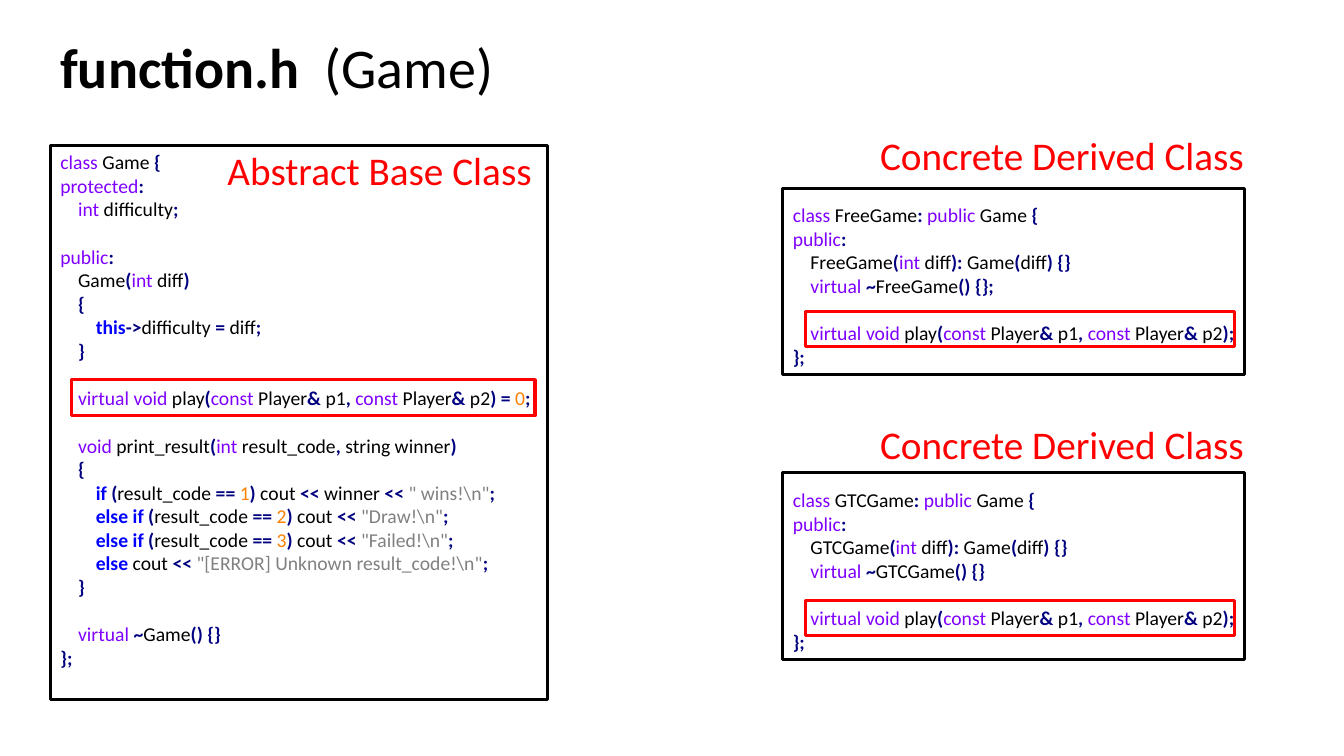
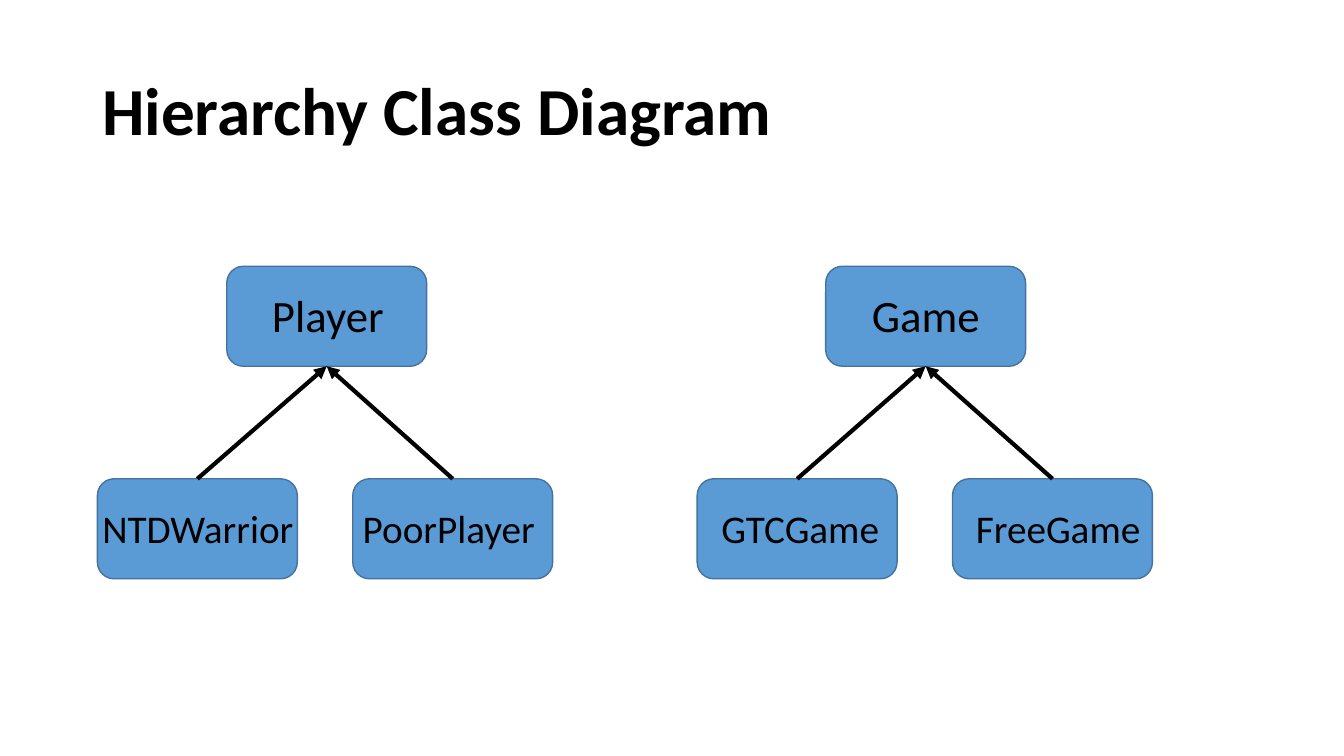
import itertools
from dataclasses import dataclass

import pptx
import pptx.dml.color
import pptx.enum.shapes
import pptx.enum.text
import pptx.oxml.ns
import pptx.util
from lxml import etree

RGBColor = pptx.dml.color.RGBColor
MSO_SHAPE = pptx.enum.shapes.MSO_SHAPE

# Shared style
BLACK = RGBColor(0x00, 0x00, 0x00)
RED = RGBColor(0xFF, 0x00, 0x00)
BOX_BLUE = RGBColor(0x5B, 0x9B, 0xD5)
BOX_EDGE = RGBColor(0x43, 0x73, 0x9E)
TYPE_PURPLE = RGBColor(0x80, 0x00, 0xFF)
FLOW_BLUE = RGBColor(0x00, 0x00, 0xFF)
OPERATOR_NAVY = RGBColor(0x00, 0x00, 0x80)
NUMBER_ORANGE = RGBColor(0xFF, 0x80, 0x00)
STRING_GRAY = RGBColor(0x80, 0x80, 0x80)
FONT = "Calibri"
CODE_SIZE = 14
CODE_LINE = 17
CODE_INDENT = pptx.util.Pt(12.66)
CAPTION_SIZE = 28

# Grid of 160 columns by 90 rows
SLIDE_WIDTH = pptx.util.Inches(13.33)
SLIDE_HEIGHT = pptx.util.Inches(7.5)
COLUMN = SLIDE_WIDTH / 160
ROW = SLIDE_HEIGHT / 90

TYPE_WORDS = {"class", "protected", "public", "int", "virtual", "void", "const"}
FLOW_WORDS = {"this", "if", "else"}


@dataclass(frozen=True)
class Area:
    """A rectangle in grid columns and rows."""
    left: float
    top: float
    width: float
    height: float

    def lengths(self) -> tuple[int, int, int, int]:
        return (round(self.left * COLUMN), round(self.top * ROW),
                round(self.width * COLUMN), round(self.height * ROW))


@dataclass(frozen=True)
class TextRun:
    text: str
    color: RGBColor = BLACK
    bold: bool = False


@dataclass(frozen=True)
class CodePanel:
    code: str
    text: Area
    frame: Area
    highlight: Area
    caption: str
    caption_area: Area


@dataclass(frozen=True)
class ClassBox:
    name: str
    left: float
    label_shift: float


@dataclass(frozen=True)
class Family:
    parent: ClassBox
    children: tuple[ClassBox, ...]


# Drawing helpers
def add_runs(paragraph, runs: list[TextRun], size: float) -> None:
    for item in runs:
        run = paragraph.add_run()
        run.text = item.text
        run.font.name = FONT
        run.font.size = pptx.util.Pt(size)
        run.font.bold = item.bold
        run.font.color.rgb = item.color


def add_text_frame(slide, area: Area):
    text_frame = slide.shapes.add_textbox(*area.lengths()).text_frame
    text_frame.word_wrap = True
    return text_frame


def add_label(slide, area: Area, text: str, size: float, color: RGBColor = BLACK) -> None:
    add_runs(add_text_frame(slide, area).paragraphs[0], [TextRun(text, color)], size)


def add_title(slide, area: Area, runs: list[TextRun], size: float) -> None:
    text_frame = add_text_frame(slide, area)
    text_frame.vertical_anchor = pptx.enum.text.MSO_ANCHOR.MIDDLE
    text_frame.paragraphs[0].line_spacing = 0.9
    add_runs(text_frame.paragraphs[0], runs, size)


def add_box(slide, area: Area, line: RGBColor, line_width: float,
            fill: RGBColor | None = None, kind=MSO_SHAPE.RECTANGLE) -> None:
    shape = slide.shapes.add_shape(kind, *area.lengths())
    shape.shadow.inherit = False
    shape.line.color.rgb = line
    shape.line.width = pptx.util.Pt(line_width)
    if fill is None:
        shape.fill.background()
    else:
        shape.fill.solid()
        shape.fill.fore_color.rgb = fill


def add_arrow(slide, start: tuple[float, float], end: tuple[float, float]) -> None:
    connector = slide.shapes.add_connector(
        pptx.enum.shapes.MSO_CONNECTOR.STRAIGHT,
        round(start[0] * COLUMN), round(start[1] * ROW),
        round(end[0] * COLUMN), round(end[1] * ROW))
    connector.line.color.rgb = BLACK
    connector.line.width = pptx.util.Pt(3)
    qn = pptx.oxml.ns.qn
    properties = connector._element.spPr
    etree.SubElement(properties.find(qn("a:ln")), qn("a:tailEnd"), type="triangle")
    etree.SubElement(properties, qn("a:effectLst"))


# Syntax colouring
def token_kind(character: str) -> str:
    if character.isspace():
        return "space"
    return "word" if character.isalnum() or character == "_" else "operator"


def color_token(kind: str, text: str) -> TextRun:
    if kind == "operator":
        return TextRun(text, OPERATOR_NAVY, True)
    if text in FLOW_WORDS:
        return TextRun(text, FLOW_BLUE, True)
    if text in TYPE_WORDS:
        return TextRun(text, TYPE_PURPLE)
    return TextRun(text, NUMBER_ORANGE if text.isdigit() else BLACK)


def color_code(line: str) -> list[TextRun]:
    runs = []
    for index, part in enumerate(line.split('"')):
        if index % 2:
            runs.append(TextRun(f'"{part}"', STRING_GRAY))
            continue
        for kind, characters in itertools.groupby(part, token_kind):
            runs.append(color_token(kind, "".join(characters)))
    return runs


def add_code(slide, area: Area, code: str) -> None:
    text_frame = add_text_frame(slide, area)
    paragraph = text_frame.paragraphs[0]
    gap = 0
    for line in code.strip().splitlines():
        content = line.strip()
        if not content:
            gap += CODE_LINE
            continue
        if paragraph.runs:
            paragraph = text_frame.add_paragraph()
        level = (len(line) - len(content)) // 4
        paragraph._p.get_or_add_pPr().set("marL", str(level * CODE_INDENT))
        paragraph.space_before = pptx.util.Pt(gap)
        add_runs(paragraph, color_code(content), CODE_SIZE)
        gap = 0


# Slide contents
BASE_CODE = r"""
class Game {
protected:
    int difficulty;

public:
    Game(int diff)
    {
        this->difficulty = diff;
    }

    virtual void play(const Player& p1, const Player& p2) = 0;

    void print_result(int result_code, string winner)
    {
        if (result_code == 1) cout << winner << " wins!\n";
        else if (result_code == 2) cout << "Draw!\n";
        else if (result_code == 3) cout << "Failed!\n";
        else cout << "[ERROR] Unknown result_code!\n";
    }

    virtual ~Game() {}
};
"""

DERIVED_CODE = """
class NAME: public Game {
public:
    NAME(int diff): Game(diff) {}
    virtual ~NAME() BODY

    virtual void play(const Player& p1, const Player& p2);
};
"""


def derived_panel(name: str, body: str, top: float, highlight_top: float,
                  caption_top: float) -> CodePanel:
    return CodePanel(
        DERIVED_CODE.replace("NAME", name).replace("BODY", body),
        Area(93.2, top + 1.2, 64.2, 21), Area(93.2, top, 55, 22.2),
        Area(95.9, highlight_top, 51.1, 4.2),
        "Concrete Derived Class", Area(103.6, caption_top, 46.2, 6.8))


PANELS = (
    CodePanel(BASE_CODE, Area(6, 17.3, 80, 63.4), Area(6, 17.3, 59.2, 66),
              Area(8.5, 45.2, 55.2, 4.3),
              "Abstract Base Class", Area(25.9, 16.8, 40, 6.8)),
    derived_panel("FreeGame", "{};", 22.4, 37.1, 15),
    derived_panel("GTCGame", "{}", 56.3, 71.5, 49.4),
)

FAMILIES = (
    Family(ClassBox("Player", 27, 4.2),
           (ClassBox("NTDWarrior", 11.6, -0.6), ClassBox("PoorPlayer", 42, 0))),
    Family(ClassBox("Game", 98.3, 4.3),
           (ClassBox("GTCGame", 83, 1.7), ClassBox("FreeGame", 113.4, 1.6))),
)
BOX_WIDTH, BOX_HEIGHT = 23.8, 11.9
PARENT_TOP, CHILD_TOP = 31.7, 57


def add_class_box(slide, box: ClassBox, top: float, label: Area, size: float) -> None:
    add_box(slide, Area(box.left, top, BOX_WIDTH, BOX_HEIGHT), BOX_EDGE, 1,
            BOX_BLUE, MSO_SHAPE.ROUNDED_RECTANGLE)
    add_label(slide, label, box.name, size)


def add_family(slide, family: Family) -> None:
    parent = family.parent
    add_class_box(slide, parent, PARENT_TOP,
                  Area(parent.left + parent.label_shift, PARENT_TOP + 2, 18.7, 7.7), 32)
    for child in family.children:
        add_class_box(slide, child, CHILD_TOP,
                      Area(child.left + child.label_shift, CHILD_TOP + 2.5, 29.5, 6.8),
                      CAPTION_SIZE)
        add_arrow(slide, (child.left + BOX_WIDTH / 2, CHILD_TOP),
                  (parent.left + BOX_WIDTH / 2, PARENT_TOP + BOX_HEIGHT))


def build_code_slide(slide) -> None:
    add_title(slide, Area(6, 4.2, 71.3, 8.3),
              [TextRun("function.h ", bold=True), TextRun(" (Game)")], 40)
    for panel in PANELS:
        add_code(slide, panel.text, panel.code)
        add_box(slide, panel.frame, BLACK, 2.25)
        add_box(slide, panel.highlight, RED, 2.25)
        add_label(slide, panel.caption_area, panel.caption, CAPTION_SIZE, RED)


def build_hierarchy_slide(slide) -> None:
    add_title(slide, Area(11, 4.8, 138, 17.4),
              [TextRun("Hierarchy Class Diagram", bold=True)], 48)
    for family in FAMILIES:
        add_family(slide, family)


def main() -> None:
    presentation = pptx.Presentation()
    presentation.slide_width = SLIDE_WIDTH
    presentation.slide_height = SLIDE_HEIGHT
    blank_layout = presentation.slide_layouts[6]
    for build in (build_code_slide, build_hierarchy_slide):
        build(presentation.slides.add_slide(blank_layout))
    presentation.save("out.pptx")


if __name__ == "__main__":
    main()
